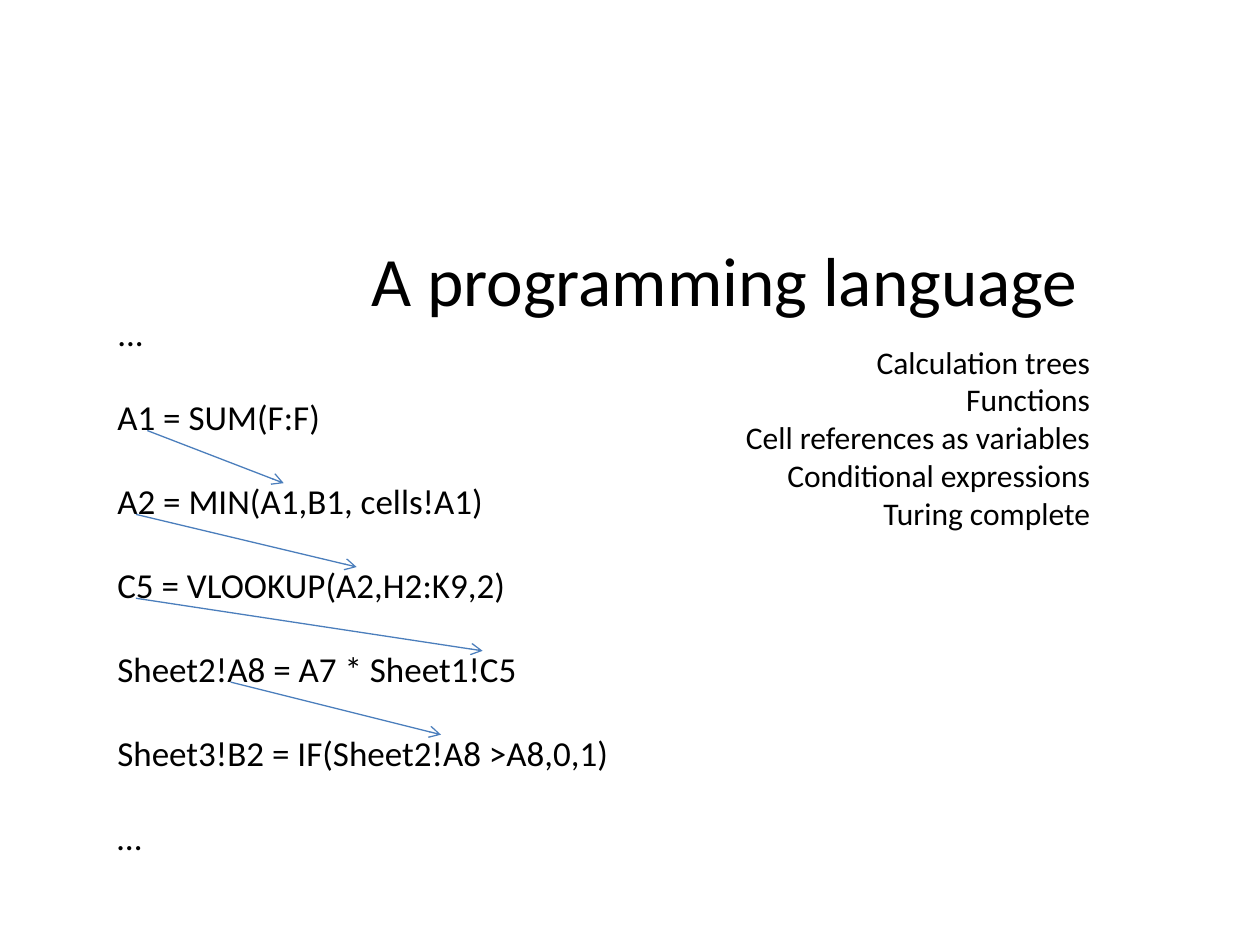
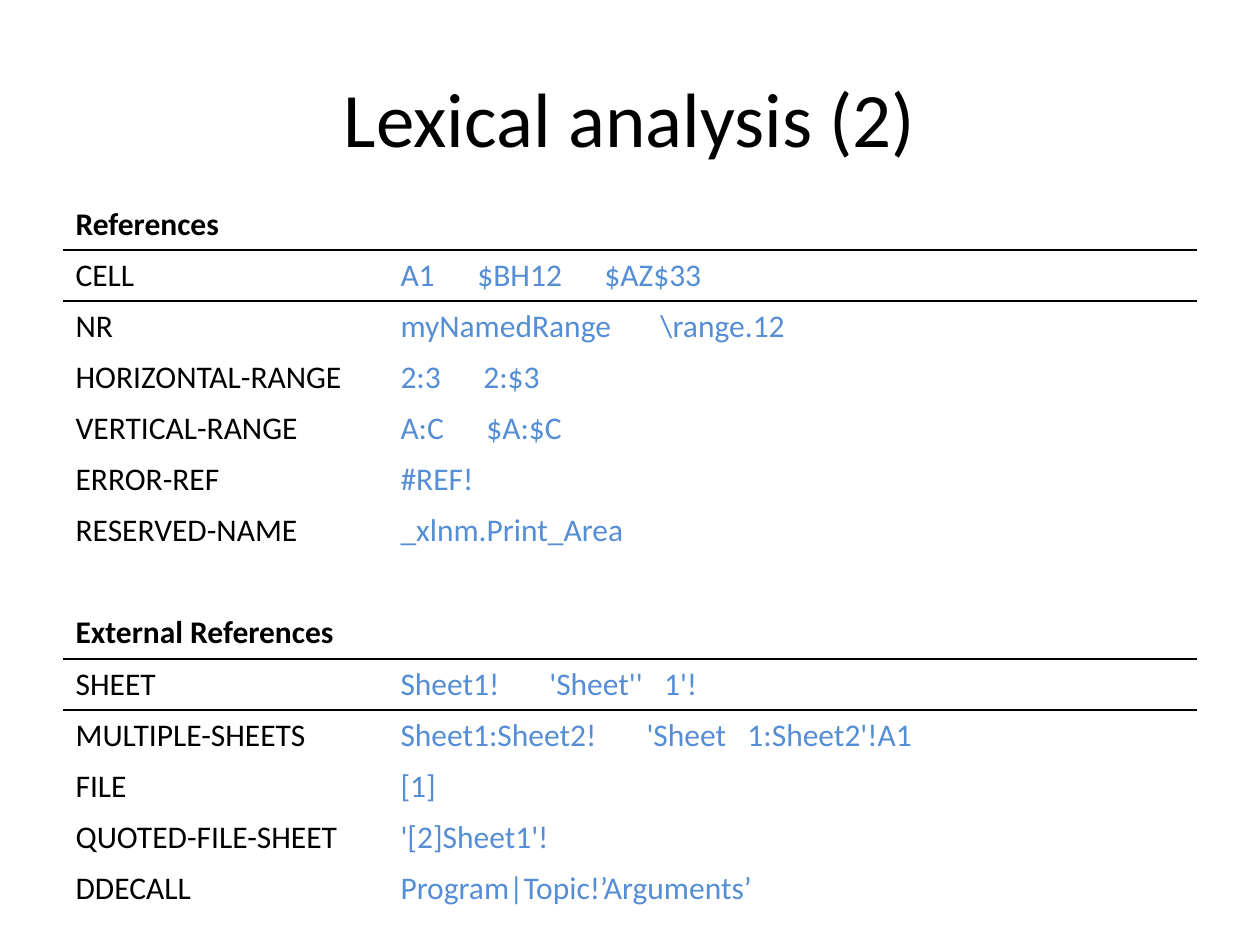
from lxml import etree
from pptx import Presentation
from pptx.dml.color import RGBColor
from pptx.enum import shapes, text
from pptx.oxml import ns
from pptx.util import Cm, Pt

FONT = "Calibri"
COLORS = {"text": "000000", "example": "558ED5", "arrow": "4B7EBC", "rule": "000000"}
NO_STYLE_NO_GRID = "{2D5ABB26-0587-4C30-8999-92F81FD0307C}"

FORMULAS = [
    "...",
    "A1 = SUM(F:F)",
    "A2 = MIN(A1,B1, cells!A1)",
    "C5 = VLOOKUP(A2,H2:K9,2)",
    "Sheet2!A8 = A7 * Sheet1!C5",
    "Sheet3!B2 = IF(Sheet2!A8 >A8,0,1)",
    "…",
]
FEATURES = [
    "Calculation trees",
    "Functions",
    "Cell references as variables",
    "Conditional expressions",
    "Turing complete",
]
# Left and right end of the arrow below each formula, in cm
DEPENDENCIES = [(2.97, 5.72), (2.74, 7.19), (2.74, 9.73), (4.65, 8.89)]

# Token name, its examples, and the tab stops in cm of the later examples
TOKEN_GROUPS = {
    "References": [
        ("CELL", ["A1", "$BH12", "$AZ$33"], [1.55, 4.11]),
        ("NR", ["myNamedRange", "\\range.12"], [5.24]),
        ("HORIZONTAL-RANGE", ["2:3", "2:$3"], [1.67]),
        ("VERTICAL-RANGE", ["A:C", "$A:$C"], [1.73]),
        ("ERROR-REF", ["#REF!"], []),
        ("RESERVED-NAME", ["_xlnm.Print_Area"], []),
    ],
    "External References": [
        ("SHEET", ["Sheet1!", "'Sheet''   1'!"], [3]),
        ("MULTIPLE-SHEETS", ["Sheet1:Sheet2!", "'Sheet   1:Sheet2'!A1"], [4.96]),
        ("FILE", ["[1]"], []),
        ("QUOTED-FILE-SHEET", ["'[2]Sheet1'!"], []),
        ("DDECALL", ["Program|Topic!’Arguments’"], []),
    ],
}


def rgb(name):
    return RGBColor.from_string(COLORS[name])


def add_xml(parent, tag, **attributes):
    return etree.SubElement(parent, ns.qn(tag), attributes)


def style_font(para, size, color="text", bold=False):
    para.font.name = FONT
    para.font.size = Pt(size)
    para.font.bold = bold
    para.font.color.rgb = rgb(color)


def place(shape, left, top, width, height):
    shape.left, shape.top = Cm(left), Cm(top)
    shape.width, shape.height = Cm(width), Cm(height)


def set_title(page, words, size, *position):
    title = page.shapes.title
    place(title, *position)
    frame = title.text_frame
    frame.text = words
    frame.auto_size = text.MSO_AUTO_SIZE.NONE
    frame.vertical_anchor = text.MSO_ANCHOR.MIDDLE
    para = frame.paragraphs[0]
    para.alignment = text.PP_ALIGN.CENTER
    style_font(para, size)


def fill_list(box, lines, size, gap, alignment, *position):
    """Write unbulleted lines, with gap points between them."""
    place(box, *position)
    frame = box.text_frame
    frame.text = "\n".join(lines)
    frame.auto_size = text.MSO_AUTO_SIZE.NONE
    for index, para in enumerate(frame.paragraphs):
        properties = para._p.get_or_add_pPr()
        properties.set("marL", "0")
        properties.set("indent", "0")
        add_xml(properties, "a:buNone")
        para.alignment = alignment
        para.space_before = Pt(gap if index else 0)
        style_font(para, size)


def add_arrow(page, left, top, right, bottom):
    arrow = page.shapes.add_connector(
        shapes.MSO_CONNECTOR.STRAIGHT, Cm(left), Cm(top), Cm(right), Cm(bottom))
    arrow.line.color.rgb = rgb("arrow")
    arrow.line.width = Pt(0.75)
    add_xml(arrow.line._get_or_add_ln(), "a:tailEnd", type="arrow")
    add_xml(arrow._element.spPr, "a:effectLst")


def write_cell(cell, words, color="text", bold=False, stops=()):
    cell.text = words
    para = cell.text_frame.paragraphs[0]
    if stops:
        tabs = add_xml(para._p.get_or_add_pPr(), "a:tabLst")
        for stop in stops:
            add_xml(tabs, "a:tab", pos=str(Cm(stop)), algn="l")
    style_font(para, 18, color, bold)


def rule_edge(cell, edge):
    """Draw a thin line on one edge of the cell: lnT or lnB."""
    line = add_xml(cell._tc.get_or_add_tcPr(), f"a:{edge}", w=str(Pt(1)))
    add_xml(add_xml(line, "a:solidFill"), "a:srgbClr", val=COLORS["rule"])


def add_token_table(page):
    rows = []
    for heading, tokens in TOKEN_GROUPS.items():
        if rows:
            rows.append(("", [], []))
        rows += [(heading, [], []), *tokens]

    row_height = 1.03
    frame = page.shapes.add_table(
        len(rows), 2, Cm(1.27), Cm(4.01), Cm(22.86), Cm(row_height * len(rows)))
    table = frame.table
    table.first_row = table.horz_banding = False
    table._tbl.tblPr.find(ns.qn("a:tableStyleId")).text = NO_STYLE_NO_GRID
    for column, width in zip(table.columns, (6.55, 16.31)):
        column.width = Cm(width)

    for index, (name, examples, stops) in enumerate(rows):
        table.rows[index].height = Cm(row_height)
        is_heading = name in TOKEN_GROUPS
        follows_heading = index > 0 and rows[index - 1][0] in TOKEN_GROUPS
        name_cell, example_cell = table.rows[index].cells
        write_cell(name_cell, name, bold=is_heading)
        write_cell(example_cell, "\t".join(examples), "example", stops=stops)
        for cell in (name_cell, example_cell):
            if follows_heading:
                rule_edge(cell, "lnT")
            if is_heading or follows_heading:
                rule_edge(cell, "lnB")
            cell.fill.background()


def build_language_page(deck):
    page = deck.slides.add_slide(deck.slide_layouts.get_by_name("Two Content"))
    set_title(page, "A programming language", 39.6, 3.18, 4.57, 22.86, 2.11)
    formulas, features = list(page.placeholders)[1:]
    fill_list(formulas, FORMULAS, 20, 24, text.PP_ALIGN.LEFT, 2.11, 6.15, 11, 11.28)
    for index, (left, right) in enumerate(DEPENDENCIES):
        top = 8.68 + 1.69 * index
        add_arrow(page, left, top, right, top + 1.06)
    fill_list(features, FEATURES, 18, 0, text.PP_ALIGN.RIGHT, 13.97, 6.78, 8.26, 4.11)


def build_lexical_page(deck):
    page = deck.slides.add_slide(deck.slide_layouts.get_by_name("Title Only"))
    set_title(page, "Lexical analysis (2)", 44, 1.27, 0.76, 22.86, 3.18)
    add_token_table(page)


def main():
    deck = Presentation()
    deck.slide_width, deck.slide_height = Cm(25.4), Cm(19.05)
    build_language_page(deck)
    build_lexical_page(deck)
    deck.save("out.pptx")


if __name__ == "__main__":
    main()
